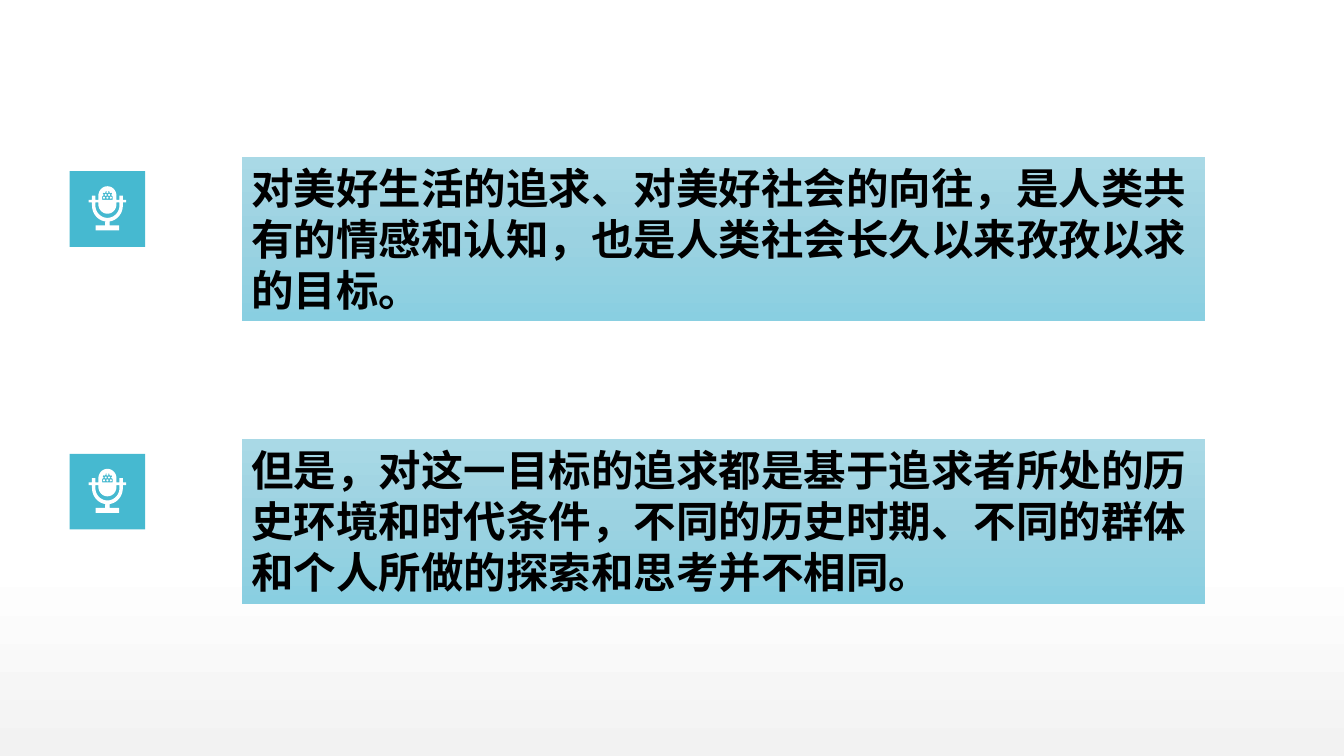
from dataclasses import dataclass
from math import cos, radians, sin

from lxml.etree import SubElement
from pptx import Presentation
from pptx.dml.color import RGBColor
from pptx.enum.shapes import MSO_SHAPE as Preset
from pptx.enum.text import MSO_ANCHOR as Anchor, MSO_AUTO_SIZE as AutoSize, PP_ALIGN as Align
from pptx.oxml.ns import qn
from pptx.util import Cm, Pt

COLORS = {
    "tile": "46B9D0", "icon": "FFFFFF", "text": "000000",
    "page_low": "F2F2F2", "page_high": "FFFFFF",
    "panel_top": "A9D9E6", "panel_middle": "9BD2E1", "panel_bottom": "89CFE1",
}
PAGE_STOPS = {0: "page_low", 26: "page_high"}
PANEL_STOPS = {0: "panel_top", 50: "panel_middle", 100: "panel_bottom"}
FRAME_FORMAT = {"word_wrap": True, "auto_size": AutoSize.SHAPE_TO_FIT_TEXT,
                "vertical_anchor": Anchor.TOP}
FONT_FORMAT = {"name": "Calibri", "size": Pt(32), "bold": True}
PAGE_WIDTH, PAGE_HEIGHT = 35.71, 20.09
FIRST_TOP, PITCH = 4.17, 7.51
TILE_LEFT, TILE_SIZE, TILE_DROP = 1.85, 2.01, 0.38
ICON_DROP = 0.4

Point = tuple[float, float]


@dataclass(frozen=True)
class Area:
    left: float
    top: float
    width: float
    height: float


@dataclass(frozen=True)
class Statement:
    row: int
    text: str

    @property
    def top(self) -> float:
        return FIRST_TOP + self.row * PITCH


STATEMENTS = [
    Statement(0, "对美好生活的追求、对美好社会的向往，是人类共有的情感和认知，"
                 "也是人类社会长久以来孜孜以求的目标。"),
    Statement(1, "但是，对这一目标的追求都是基于追求者所处的历史环境和时代条件，"
                 "不同的历史时期、不同的群体和个人所做的探索和思考并不相同。"),
]


def arc(middle: Point, radii: Point, start: int, end: int, steps: int = 10) -> list[Point]:
    """Points on an ellipse, with angles in degrees clockwise from the right."""
    angles = [radians(start + (end - start) * step / steps) for step in range(steps + 1)]
    return [(middle[0] + radii[0] * cos(a), middle[1] + radii[1] * sin(a)) for a in angles]


def mirrored(right_half: list[Point]) -> list[Point]:
    return right_half + [(-x, y) for x, y in reversed(right_half)]


def microphone() -> list[list[Point]]:
    """Closed contours in hundredths of a centimetre, from the top middle."""
    body = (arc((0, 25), (24, 25), -90, 0)
            + [(24, 36), (32, 36), (32, 25), (41, 25), (41, 36), (50, 36), (50, 43), (41, 43)]
            + arc((0, 51), (41, 43), 0, 82)
            + [(6, 104), (31, 104), (31, 117)])
    cradle = (arc((0, 48), (24, 25), 90, 0) + [(24, 43), (32, 43)]
              + arc((0, 51), (32, 33), 0, 90))
    grille = [(0, 12), (5, 13), (5, 16), (8, 18), (11, 17),
              (13, 20), (10, 23), (12, 26), (14, 26), (14, 36)]
    holes = [(0, 15.5), (-4.5, 23), (4.5, 23), (-9, 30.5), (0, 30.5), (9, 30.5)]
    return [mirrored(half) for half in (body, cradle, grille)] + [
        arc(hole, (2.7, 2.7), 0, 360) for hole in holes]


def finish(shape, color: str) -> None:
    """Give the shape a plain fill without line or shadow."""
    shape.shadow.inherit = False
    shape.line.fill.background()
    shape.fill.solid()
    shape.fill.fore_color.rgb = RGBColor.from_string(COLORS[color])


def add_rectangle(shapes, area: Area, color: str):
    box = shapes.add_shape(Preset.RECTANGLE, Cm(area.left), Cm(area.top),
                           Cm(area.width), Cm(area.height))
    finish(box, color)
    return box


def set_gradient(shape, stops: dict[int, str], angle: int) -> None:
    shape.fill.gradient()
    shape.fill.gradient_angle = angle
    stop_list = shape.element.spPr.find(qn("a:gradFill")).find(qn("a:gsLst"))
    for old in list(stop_list):
        stop_list.remove(old)
    for percent, color in stops.items():
        stop = SubElement(stop_list, qn("a:gs"), pos=str(percent * 1000))
        SubElement(stop, qn("a:srgbClr"), val=COLORS[color])


def add_microphone(shapes, middle: float, top: float) -> None:
    contours = [[(x * 10, y * 10) for x, y in contour] for contour in microphone()]
    builder = shapes.build_freeform(*contours[0][0], scale=Cm(0.001))
    builder.add_line_segments(contours[0][1:], close=True)
    for contour in contours[1:]:
        builder.move_to(*contour[0])
        builder.add_line_segments(contour[1:], close=True)
    finish(builder.convert_to_shape(Cm(middle), Cm(top)), "icon")


def add_panel(shapes, statement: Statement) -> None:
    panel = add_rectangle(shapes, Area(6.43, statement.top, 25.6, 4.37), "panel_top")
    set_gradient(panel, PANEL_STOPS, 270)
    frame = panel.text_frame
    for name, value in FRAME_FORMAT.items():
        setattr(frame, name, value)
    para = frame.paragraphs[0]
    para.alignment = Align.LEFT
    span = para.add_run()
    span.text = statement.text
    for name, value in FONT_FORMAT.items():
        setattr(span.font, name, value)
    span.font.color.rgb = RGBColor.from_string(COLORS["text"])


def add_statement(page, statement: Statement) -> None:
    shapes = page.shapes.add_group_shape().shapes
    tile_top = statement.top + TILE_DROP
    add_rectangle(shapes, Area(TILE_LEFT, tile_top, TILE_SIZE, TILE_SIZE), "tile")
    add_microphone(shapes, TILE_LEFT + TILE_SIZE / 2, tile_top + ICON_DROP)
    add_panel(shapes, statement)


def main() -> None:
    deck = Presentation()
    deck.slide_width, deck.slide_height = Cm(PAGE_WIDTH), Cm(PAGE_HEIGHT)
    page = deck.slides.add_slide(deck.slide_layouts[6])
    backdrop = add_rectangle(page.shapes, Area(0, 0, PAGE_WIDTH, PAGE_HEIGHT), "page_high")
    set_gradient(backdrop, PAGE_STOPS, 90)
    for statement in STATEMENTS:
        add_statement(page, statement)
    deck.save("out.pptx")


if __name__ == "__main__":
    main()
